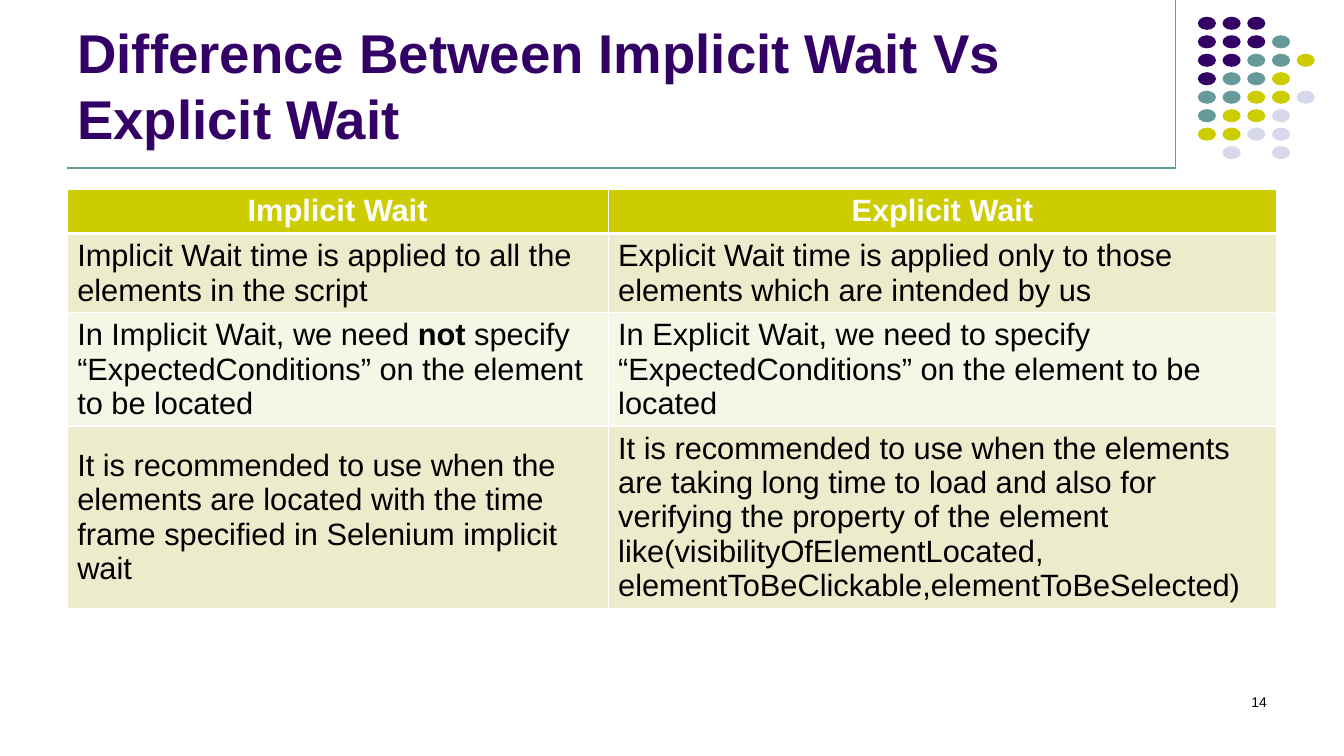
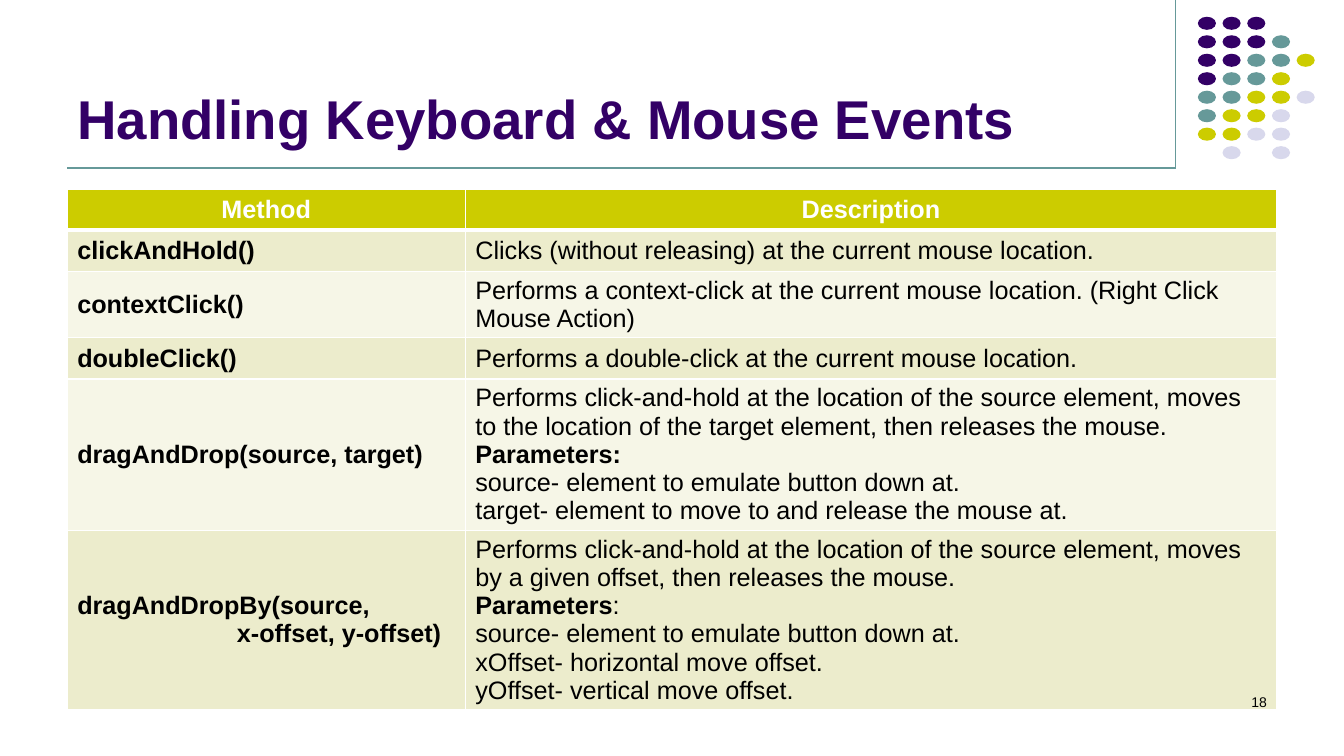
"""Build two slides that compare Selenium waits and list mouse events."""
from dataclasses import dataclass

from lxml import etree
from pptx import Presentation
from pptx.dml.color import RGBColor
from pptx.enum.shapes import MSO_CONNECTOR, MSO_SHAPE
from pptx.enum.text import MSO_ANCHOR, MSO_AUTO_SIZE, PP_ALIGN
from pptx.oxml.ns import qn
from pptx.util import Inches, Pt

LEFT, CENTER, RIGHT = PP_ALIGN.LEFT, PP_ALIGN.CENTER, PP_ALIGN.RIGHT
MIDDLE, BOTTOM = MSO_ANCHOR.MIDDLE, MSO_ANCHOR.BOTTOM
NO_FIT = MSO_AUTO_SIZE.NONE
OVAL, STRAIGHT = MSO_SHAPE.OVAL, MSO_CONNECTOR.STRAIGHT

FONT = "Arial"
PURPLE, TEAL, OLIVE, LILAC = "330066", "669999", "CCCC00", "D8D8EC"
WHITE, BLACK = "FFFFFF", "000000"
BANDS = ("F6F6E7", "ECECCC")

COLS, ROWS = 80, 45
EDGE, RULE_X, RULE_Y = 4, 70, 10
DOTS = ("PPP..", "PPPT.", "PPTTY", "PTTY.", "TTYYL", "TYYL.", "YYLL.", ".L.L.")
TINTS = {"P": PURPLE, "T": TEAL, "Y": OLIVE, "L": LILAC}


@dataclass(frozen=True)
class Line:
    text: str
    bold: bool = False
    indent: float = 0


@dataclass(frozen=True)
class Page:
    title: str
    number: int
    size: int
    widths: tuple[float, ...]
    heads: tuple[str, ...]
    rows: tuple[tuple[tuple[Line, ...], ...], ...]


def grid(count: float) -> int:
    return Inches(count / 6)


def tint(code: str) -> RGBColor:
    return RGBColor.from_string(code)


def style(para, size: float, color: str, bold: bool = False, align=LEFT) -> None:
    para.alignment = align
    font = para.font
    font.name, font.size, font.bold = FONT, Pt(size), bold
    font.color.rgb = tint(color)


def draw_rule(slide, start: tuple[float, float], end: tuple[float, float]) -> None:
    rule = slide.shapes.add_connector(STRAIGHT, *map(grid, start + end))
    rule.line.color.rgb = tint(TEAL)
    rule.line.width = Pt(0.75)
    etree.SubElement(rule._element.spPr, qn("a:effectLst"))


def draw_dots(slide) -> None:
    for row, marks in enumerate(DOTS):
        for col, mark in enumerate(marks):
            if mark in TINTS:
                place = (71.3 + 1.47 * col, 1 + 1.1 * row, 1.08, 0.78)
                dot = slide.shapes.add_shape(OVAL, *map(grid, place))
                dot.shadow.inherit = False
                dot.fill.solid()
                dot.fill.fore_color.rgb = tint(TINTS[mark])
                dot.line.fill.background()


def draw_title(slide, text: str) -> None:
    title = slide.shapes.title
    title.left, title.top, title.width, title.height = map(grid, (EDGE, 0.75, 66, 8.5))
    frame = title.text_frame
    frame.text = text
    frame.word_wrap, frame.auto_size = True, NO_FIT
    frame.vertical_anchor = BOTTOM
    style(frame.paragraphs[0], 39, PURPLE, True)


def draw_number(slide, number: int) -> None:
    box = slide.shapes.add_textbox(*map(grid, (57.4, 41, 18.6, 3)))
    frame = box.text_frame
    frame.word_wrap = True
    frame.text = str(number)
    style(frame.paragraphs[0], 10, BLACK, align=RIGHT)


def edge_cell(cell, top: float, base: float) -> None:
    props = cell._tc.get_or_add_tcPr()
    for side, width in (("L", 1), ("R", 1), ("T", top), ("B", base)):
        line = etree.SubElement(props, qn(f"a:ln{side}"), w=str(Pt(width)))
        fill = etree.SubElement(line, qn("a:solidFill"))
        etree.SubElement(fill, qn("a:srgbClr"), val=WHITE)


def fill_cell(cell, lines: tuple[Line, ...], size: int, row: int) -> None:
    head = row == 0
    edge_cell(cell, 3 if row == 1 else 1, 3 if head else 1)
    cell.fill.solid()
    cell.fill.fore_color.rgb = tint(OLIVE if head else BANDS[row % 2])
    cell.vertical_anchor = MIDDLE
    frame = cell.text_frame
    for index, line in enumerate(lines):
        para = frame.add_paragraph() if index else frame.paragraphs[0]
        if line.indent:
            para._p.get_or_add_pPr().set("marL", str(grid(line.indent)))
        for part, text in enumerate(line.text.split("*")):
            if text:
                run = para.add_run()
                run.text = text
                run.font.bold = line.bold or part % 2 == 1
        style(para, size, WHITE if head else BLACK, line.bold, CENTER if head else LEFT)


def draw_table(slide, page: Page) -> None:
    heads = tuple((Line(text, True),) for text in page.heads)
    rows = (heads,) + page.rows
    place = (EDGE, 11.25, sum(page.widths), 2.45 * len(rows))
    table = slide.shapes.add_table(len(rows), len(heads), *map(grid, place)).table
    for col, width in zip(table.columns, page.widths):
        col.width = grid(width)
    for row, cells in enumerate(rows):
        for col, lines in enumerate(cells):
            fill_cell(table.cell(row, col), lines, page.size, row)


def draw_page(deck, page: Page) -> None:
    slide = deck.slides.add_slide(deck.slide_layouts[5])
    draw_rule(slide, (RULE_X, 0), (RULE_X, RULE_Y))
    draw_dots(slide)
    draw_rule(slide, (EDGE, RULE_Y), (RULE_X, RULE_Y))
    draw_title(slide, page.title)
    draw_table(slide, page)
    draw_number(slide, page.number)


def plain(*texts: str) -> tuple[Line, ...]:
    return tuple(Line(text) for text in texts)


def name(text: str) -> tuple[Line, ...]:
    return (Line(text, True),)


PAGES = (
    Page(
        "Difference Between Implicit Wait Vs Explicit Wait", 14, 22, (32.2, 39.8),
        ("Implicit Wait", "Explicit Wait"),
        (
            (plain("Implicit Wait time is applied to all the elements in the script"),
             plain("Explicit Wait time is applied only to those elements which are "
                   "intended by us")),
            (plain("In Implicit Wait, we need *not* specify “ExpectedConditions” on "
                   "the element to be located"),
             plain("In Explicit Wait, we need to specify “ExpectedConditions” on the "
                   "element to be located")),
            (plain("It is recommended to use when the elements are located with the "
                   "time frame specified in Selenium implicit wait"),
             plain("It is recommended to use when the elements are taking long time to "
                   "load and also for verifying the property of the element "
                   "like(visibilityOfElementLocated, "
                   "elementToBeClickable,elementToBeSelected)")),
        ),
    ),
    Page(
        "Handling Keyboard & Mouse Events", 18, 18, (23.7, 48.3),
        ("Method", "Description"),
        (
            (name("clickAndHold()"),
             plain("Clicks (without releasing) at the current mouse location.")),
            (name("contextClick()"),
             plain("Performs a context-click at the current mouse location. "
                   "(Right Click Mouse Action)")),
            (name("doubleClick()"),
             plain("Performs a double-click at the current mouse location.")),
            (name("dragAndDrop(source, target)"),
             plain("Performs click-and-hold at the location of the source element, "
                   "moves to the location of the target element, then releases the "
                   "mouse.",
                   "*Parameters:*",
                   "source- element to emulate button down at.",
                   "target- element to move to and release the mouse at.")),
            ((Line("dragAndDropBy(source,", True),
              Line("x-offset, y-offset)", True, 9.5)),
             plain("Performs click-and-hold at the location of the source element, "
                   "moves by a given offset, then releases the mouse.",
                   "*Parameters*:",
                   "source- element to emulate button down at.",
                   "xOffset- horizontal move offset.",
                   "yOffset- vertical move offset.")),
        ),
    ),
)


def main() -> None:
    deck = Presentation()
    deck.slide_width, deck.slide_height = grid(COLS), grid(ROWS)
    for page in PAGES:
        draw_page(deck, page)
    deck.save("out.pptx")


if __name__ == "__main__":
    main()
